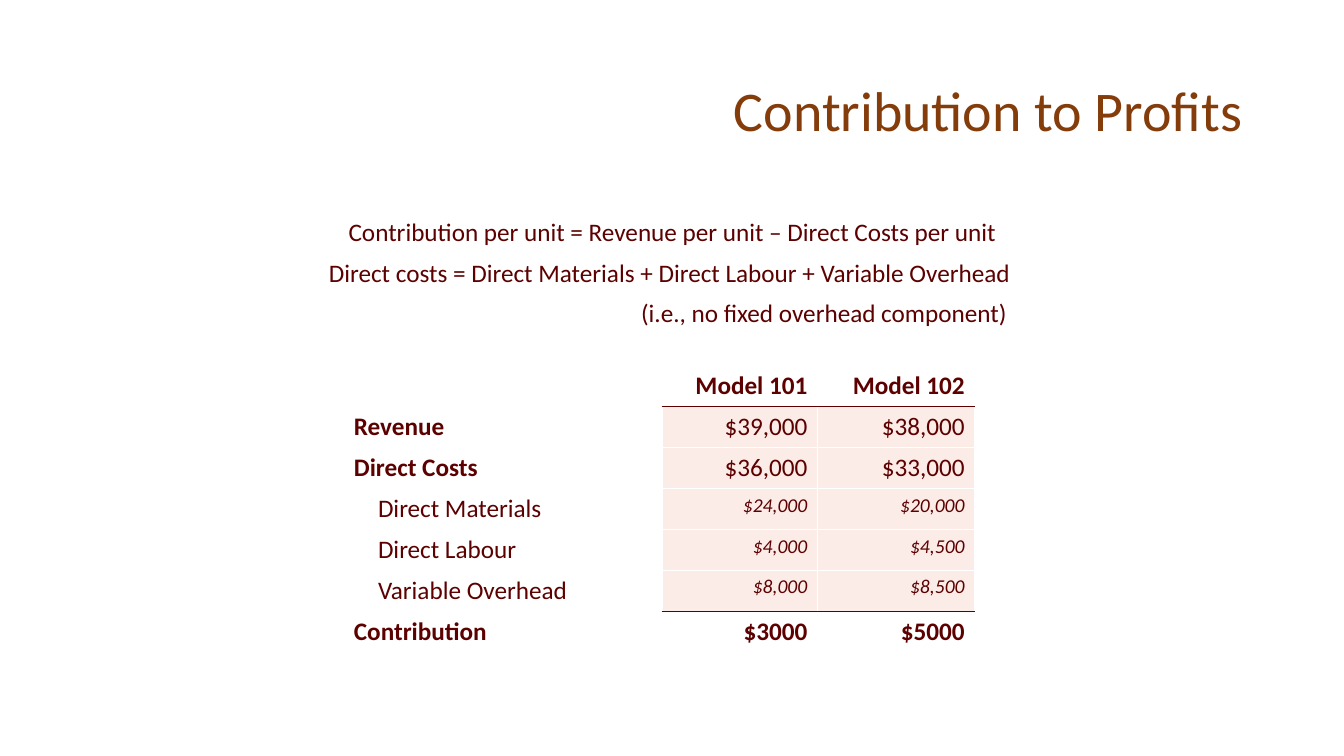
from lxml import etree
from pptx import Presentation
from pptx.dml.color import RGBColor
from pptx.enum.text import MSO_ANCHOR, PP_ALIGN
from pptx.oxml.ns import qn
from pptx.util import Inches, Pt

LEFT, CENTER, RIGHT = PP_ALIGN.LEFT, PP_ALIGN.CENTER, PP_ALIGN.RIGHT
MIDDLE, TOP = MSO_ANCHOR.MIDDLE, MSO_ANCHOR.TOP

FONT = "Calibri"
COLORS = {"title": "843C0B", "text": "5C0000", "white": "FFFFFF", "figures": "FCECE8"}

FORMULAS = [
    "Contribution per unit = Revenue per unit – Direct Costs per unit",
    "Direct costs = Direct Materials + Direct Labour + Variable Overhead ",
]
# Label, two figures, row style
COST_ROWS = [
    ("", "Model 101", "Model 102", "total"),
    ("Revenue", "$39,000", "$38,000", "main"),
    ("Direct Costs", "$36,000", "$33,000", "main"),
    ("Direct Materials", "$24,000", "$20,000", "detail"),
    ("Direct Labour", "$4,000", "$4,500", "detail"),
    ("Variable Overhead", "$8,000", "$8,500", "detail"),
    ("Contribution", "$3000", "$5000", "total"),
]
COLUMN_WIDTHS = [0.23, 2.92, 1.54, 1.56]
FIGURE_COLUMNS = (2, 3)
RULED_ROWS = (0, 5)  # rows with a dark line beneath


def add_span(para, text, size=18, color="text", bold=False, italic=False):
    span = para.add_run()
    span.text = text
    span.font.name = FONT
    span.font.size = Pt(size)
    span.font.bold = bold
    span.font.italic = italic
    span.font.color.rgb = RGBColor.from_string(COLORS[color])


def add_text(page, box, lines, align=LEFT, anchor=TOP, wrap=True,
             spacing=None, before=0, **style):
    frame = page.shapes.add_textbox(*map(Inches, box)).text_frame
    frame.word_wrap = wrap
    frame.vertical_anchor = anchor
    for index, line in enumerate(lines):
        para = frame.paragraphs[0] if index == 0 else frame.add_paragraph()
        para.alignment = align
        para.line_spacing = spacing
        para.space_before = Pt(before)
        add_span(para, line, **style)


def set_borders(cell, top, bottom):
    properties = cell._tc.get_or_add_tcPr()
    sides = {"lnL": "white", "lnR": "white", "lnT": top, "lnB": bottom}
    for index, (side, color) in enumerate(sides.items()):
        line = etree.Element(qn(f"a:{side}"), w=str(Pt(1)))
        fill = etree.SubElement(line, qn("a:solidFill"))
        etree.SubElement(fill, qn("a:srgbClr"), val=COLORS[color])
        properties.insert(index, line)


def rule_color(row, column):
    return "text" if column in FIGURE_COLUMNS and row in RULED_ROWS else "white"


def add_cost_table(page, box):
    frame = page.shapes.add_table(len(COST_ROWS), len(COLUMN_WIDTHS), *map(Inches, box))
    table = frame.table
    table.first_row = table.horz_banding = False
    for column, width in zip(table.columns, COLUMN_WIDTHS):
        column.width = Inches(width)

    for row, (label, first, second, style) in enumerate(COST_ROWS):
        detail = style == "detail"
        table.rows[row].height = Inches(box[3] / len(COST_ROWS))

        # Fills and rules
        for column in range(len(COLUMN_WIDTHS)):
            cell = table.cell(row, column)
            shaded = column in FIGURE_COLUMNS and style != "total"
            cell.fill.solid()
            cell.fill.fore_color.rgb = RGBColor.from_string(
                COLORS["figures" if shaded else "white"])
            set_borders(cell, rule_color(row - 1, column), rule_color(row, column))

        # Label: details are indented by the narrow first column
        if not detail:
            table.cell(row, 0).merge(table.cell(row, 1))
        if label:
            para = table.cell(row, 1 if detail else 0).text_frame.paragraphs[0]
            add_span(para, label, bold=not detail)

        # Figures
        for column, figure in zip(FIGURE_COLUMNS, (first, second)):
            para = table.cell(row, column).text_frame.paragraphs[0]
            para.alignment = RIGHT
            add_span(para, figure, size=14 if detail else 18,
                     bold=style == "total", italic=detail)


def add_contribution_page(deck):
    page = deck.slides.add_slide(deck.slide_layouts[6])
    add_text(page, (0.92, 0.4, 11.5, 1.45), ["Contribution to Profits"],
             RIGHT, MIDDLE, spacing=0.9, size=40, color="title")
    add_text(page, (3.09, 2.13, 7.16, 1.09), FORMULAS, CENTER, spacing=0.9, before=10)
    add_cost_table(page, (3.41, 3.63, 6.25, 2.84))
    add_text(page, (6.26, 2.9, 3.88, 0.4), ["(i.e., no fixed overhead component)"],
             wrap=False)


def main():
    deck = Presentation()
    deck.slide_width, deck.slide_height = Inches(13.33), Inches(7.5)
    add_contribution_page(deck)
    deck.save("out.pptx")


if __name__ == "__main__":
    main()
